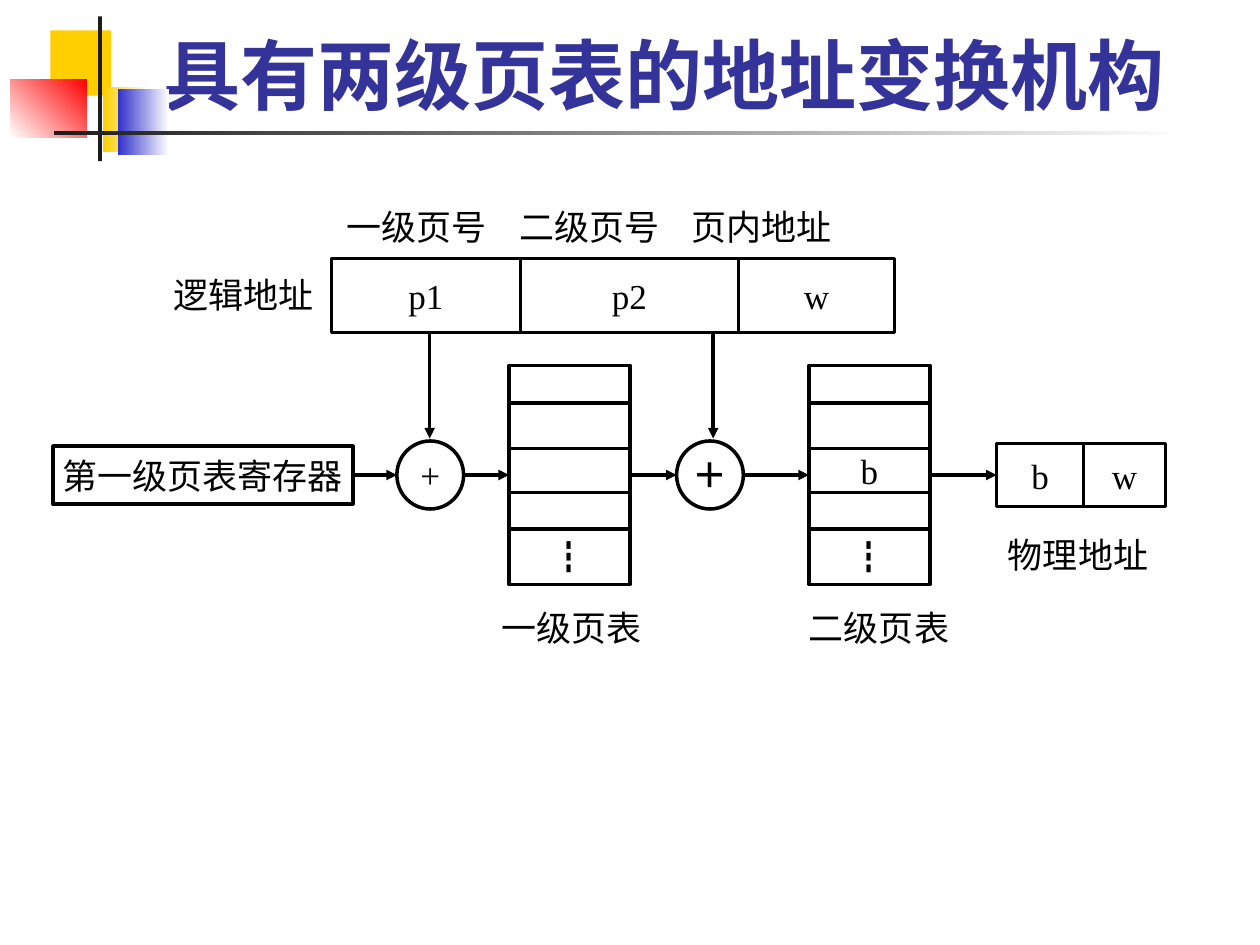
import itertools

import pptx
import pptx.dml.color
import pptx.enum.shapes
import pptx.enum.text
import pptx.oxml.ns
import pptx.util
from lxml import etree

RGBColor = pptx.dml.color.RGBColor
SHAPES = pptx.enum.shapes.MSO_SHAPE
ANCHOR = pptx.enum.text.MSO_ANCHOR
ALIGN = pptx.enum.text.PP_ALIGN

BLACK = RGBColor(0x00, 0x00, 0x00)
WHITE = RGBColor(0xFF, 0xFF, 0xFF)
CHARCOAL = RGBColor(0x1C, 0x1C, 0x1C)
YELLOW = RGBColor(0xFF, 0xCF, 0x01)
RED = RGBColor(0xFF, 0x00, 0x00)
BLUE = RGBColor(0x33, 0x33, 0xCC)
TITLE_BLUE = RGBColor(0x33, 0x33, 0x99)

EMU_PER_PX = 9144
SERIF = "Times New Roman"
CHINESE = "Noto Sans CJK SC"
AXIS = 377


def px(*lengths):
    """Turn px lengths into EMU."""
    return [pptx.util.Emu(length * EMU_PER_PX) for length in lengths]


def write(shape, text, size=20, name=SERIF, color=BLACK, bold=False,
          align=ALIGN.CENTER, anchor=ANCHOR.MIDDLE, margin=0):
    """Put one formatted line of text into a shape."""
    frame = shape.text_frame
    frame.word_wrap = True
    frame.vertical_anchor = anchor
    frame.margin_left = frame.margin_right = px(margin)[0]
    frame.margin_top = frame.margin_bottom = px(margin // 2)[0]
    frame.text = text
    paragraph = frame.paragraphs[0]
    paragraph.alignment = align
    run = paragraph.runs[0]
    run.font.size = pptx.util.Pt(size)
    run.font.name = name
    run.font.bold = bold
    run.font.color.rgb = color
    east_asian = etree.SubElement(run.font._element, pptx.oxml.ns.qn("a:ea"))
    east_asian.set("typeface", CHINESE)


def add_label(slide, box, text, **style):
    """Add a text box holding one line."""
    write(slide.shapes.add_textbox(*px(*box)), text, **style)


def add_outline(slide, box, kind=SHAPES.RECTANGLE):
    """Add a white shape with a black outline."""
    shape = slide.shapes.add_shape(kind, *px(*box))
    shape.shadow.inherit = False
    shape.fill.solid()
    shape.fill.fore_color.rgb = WHITE
    shape.line.color.rgb = BLACK
    shape.line.width = pptx.util.Pt(2)
    return shape


def add_line(slide, start, end, arrow=False, source=None, target=None):
    """Draw a straight line, joined to the right of source and left of target."""
    line = slide.shapes.add_connector(
        pptx.enum.shapes.MSO_CONNECTOR.STRAIGHT, *px(*start, *end))
    line.line.color.rgb = BLACK
    line.line.width = pptx.util.Pt(2)
    if arrow:
        tail = etree.SubElement(line.line._get_or_add_ln(), pptx.oxml.ns.qn("a:tailEnd"))
        tail.set("type", "triangle")
    etree.SubElement(line._element.spPr, pptx.oxml.ns.qn("a:effectLst"))
    if source is not None:
        line.begin_connect(source, 3)
    if target is not None:
        line.end_connect(target, 1)


def add_block(slide, box, colors, angle=0):
    """Add a borderless block with a solid or two-colour gradient fill."""
    shape = slide.shapes.add_shape(SHAPES.RECTANGLE, *px(*box))
    shape.shadow.inherit = False
    shape.line.fill.background()
    if len(colors) == 1:
        shape.fill.solid()
        shape.fill.fore_color.rgb = colors[0]
        return
    shape.fill.gradient()
    shape.fill.gradient_angle = angle
    for stop, color in zip(shape.fill.gradient_stops, colors):
        stop.color.rgb = color


def add_ornament(slide, box):
    """Draw the coloured blocks and rules beside the title."""
    left, top, width, height = box
    blocks = [
        ((32, 11, 48, 52), [YELLOW], 0),
        ((74, 56, 36, 52), [WHITE, YELLOW], 180),
        ((86, 58, 40, 52), [WHITE, BLUE], 180),
        ((0, 50, 61, 46), [RED, WHITE], 225),
        ((70, 0, 3, height), [CHARCOAL], 0),
        ((35, 91, width - 35, 3), [WHITE, CHARCOAL], 180),
    ]
    for (x, y, w, h), colors, angle in blocks:
        add_block(slide, (left + x, top + y, w, h), colors, angle)


def add_title(slide, box, text):
    """Place and format the title placeholder."""
    title = slide.shapes.title
    title.left, title.top, title.width, title.height = px(*box)
    write(title, text, size=44, name="Karla", color=TITLE_BLUE, bold=True,
          align=ALIGN.LEFT, anchor=ANCHOR.BOTTOM, margin=10)


def add_address(slide, box, fields, dividers):
    """Draw an address word split into named fields."""
    left, top, width, height = box
    word = add_outline(slide, box)
    for x in dividers:
        add_line(slide, (left + x, top), (left + x, top + height))
    for field, (start, end) in zip(fields, itertools.pairwise([0, *dividers, width])):
        add_label(slide, (left + start, top, end - start, height), field)
    return word


def add_page_table(slide, box, entry=None):
    """Draw a page table with its rows, an optional entry and an ellipsis."""
    left, top, width, height = box
    table = add_outline(slide, box)
    rows = [0, 30, 66, 101, 130, height]
    for y in rows[1:-1]:
        add_line(slide, (left, top + y), (left + width, top + y))
    for text, (start, end) in zip([None, None, entry, None, "┇"], itertools.pairwise(rows)):
        if text:
            add_label(slide, (left, top + start, width, end - start), text,
                      name=CHINESE if text == "┇" else SERIF)
    return table


def add_adder(slide, box, sign, bold=False):
    """Draw an adder circle with the arrow that drops into it."""
    left, top, width, height = box
    write(add_outline(slide, box, SHAPES.OVAL), sign, bold=bold)


def add_diagram(slide, box):
    """Draw the two-level address translation."""
    left, top, width, height = box
    for index, text in enumerate(["一级页号", "二级页号", "页内地址"]):
        add_label(slide, (left + 233 + 137 * index, top, 120, 36), text,
                  name=CHINESE, align=ALIGN.LEFT)
    captions = [("逻辑地址", 96, 54), ("一级页表", 356, 318),
                ("二级页表", 600, 318), ("物理地址", 758, 260)]
    for text, x, y in captions:
        add_label(slide, (left + x, top + y, 120, 36), text, align=ALIGN.LEFT)

    add_address(slide, (left + 221, top + 43, 447, 59), ["p1", "p2", "w"], [150, 323])
    register = add_outline(slide, (left, AXIS - 23, 238, 46))
    write(register, "第一级页表寄存器")
    first_table = add_page_table(slide, (left + 362, AXIS - 87, 96, 174))
    second_table = add_page_table(slide, (left + 600, AXIS - 87, 96, 174), "b")
    physical = add_address(slide, (left + 749, AXIS - 25, 134, 50), ["b", "w"], [69])
    add_adder(slide, (left + 273, AXIS - 27, 53, 54), "+")
    add_adder(slide, (left + 495, AXIS - 27, 53, 54), "＋", bold=True)

    for x in (299, 524):
        add_line(slide, (left + x, top + 102), (left + x, AXIS - 29), arrow=True)
    flows = [(238, 273, register, None), (326, 362, None, first_table),
             (458, 495, first_table, None), (548, 600, None, second_table),
             (696, 749, second_table, physical)]
    for start, end, source, target in flows:
        add_line(slide, (left + start, AXIS), (left + end, AXIS), True, source, target)


def main():
    """Build and save the slide."""
    presentation = pptx.Presentation()
    presentation.slide_width, presentation.slide_height = px(1000, 750)
    slide = presentation.slides.add_slide(presentation.slide_layouts[5])
    add_ornament(slide, (8, 13, 935, 115))
    add_title(slide, (120, 17, 852, 83), "具有两级页表的地址变换机构")
    add_diagram(slide, (42, 162, 883, 367))
    presentation.save("out.pptx")


if __name__ == "__main__":
    main()
